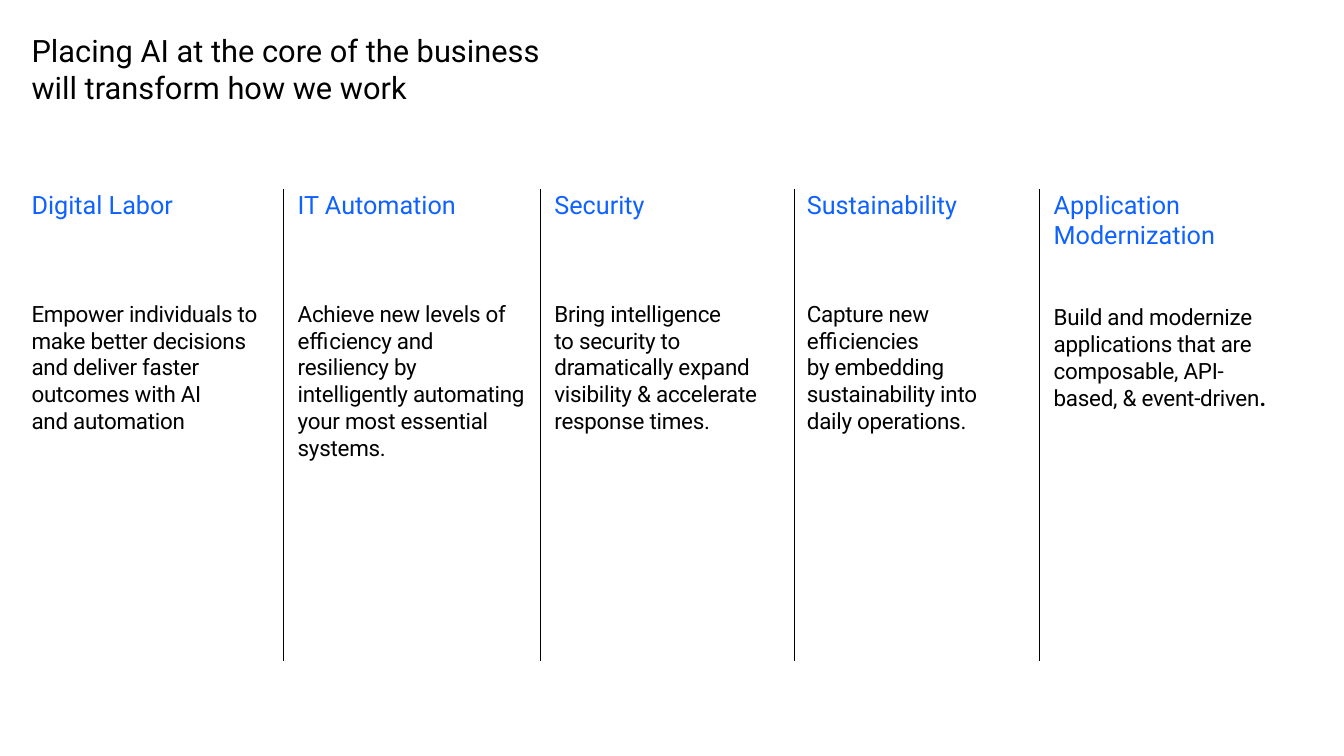
from dataclasses import dataclass

from lxml import etree
from pptx import Presentation
from pptx.dml.color import RGBColor
from pptx.enum.shapes import MSO_CONNECTOR
from pptx.oxml.ns import qn
from pptx.util import Pt

STRAIGHT = MSO_CONNECTOR.STRAIGHT
BLACK = RGBColor(0x00, 0x00, 0x00)
BLUE = RGBColor(0x0F, 0x62, 0xFE)
PX = 9525
FONT = "Roboto"
TITLE_SIZE, HEADING_SIZE, BODY_SIZE = 44, 36, 32
BODY_TRACKING = -40
COLUMN_TOP, COLUMN_HEIGHT, DIVIDER_BOTTOM = 360, 540, 1260
GAP_ONE_LINE, GAP_TWO_LINES = 115, 77


@dataclass
class Column:
    left: int
    width: int
    heading: str
    body: tuple
    gap: int = GAP_ONE_LINE
    bold_end: str = ""


COLUMNS = [
    Column(60, 434, "Digital Labor", (
        "Empower individuals to make better decisions and deliver faster "
        "outcomes with AI \nand automation",)),
    Column(567, 438, "IT Automation", (
        "Achieve new levels of efficiency and resiliency by intelligently "
        "automating your most essential systems.",)),
    Column(1056, 425, "Security", (
        "Bring intelligence \nto security to dramatically expand visibility "
        "& accelerate response times.",)),
    Column(1537, 410, "Sustainability", (
        "Capture new efficiencies",
        "by embedding sustainability into daily operations.")),
    Column(2007, 443, "Application\nModernization", (
        "Build and modernize applications that are composable, API-based, "
        "& event-driven",), GAP_TWO_LINES, "."),
]
DIVIDERS = [540, 1029, 1514, 1980]


class SlideBuilder:
    def __init__(self, slide):
        self.slide = slide

    def frame(self, left, top, width, height, right_inset=0):
        box = self.slide.shapes.add_textbox(
            left * PX, top * PX, width * PX, height * PX)
        frame = box.text_frame
        frame.word_wrap = True
        frame.margin_left = frame.margin_top = frame.margin_bottom = 0
        frame.margin_right = right_inset * PX
        return frame

    def style(self, paragraph, size, color, tracking=0):
        paragraph.font.size = Pt(size)
        for run in paragraph.runs:
            run.font.name = FONT
            run.font.size = Pt(size)
            run.font.color.rgb = color
            if tracking:
                run._r.get_or_add_rPr().set("spc", str(tracking))

    def title(self, text, left, top, width, height):
        frame = self.frame(left, top, width, height, right_inset=48)
        frame.text = text
        self.style(frame.paragraphs[0], TITLE_SIZE, BLACK)

    def divider(self, x):
        line = self.slide.shapes.add_connector(
            STRAIGHT, x * PX, COLUMN_TOP * PX, x * PX, DIVIDER_BOTTOM * PX)
        line.line.color.rgb = BLACK
        line.line.width = Pt(1)
        etree.SubElement(line._element.spPr, qn("a:effectLst"))

    def column(self, column):
        frame = self.frame(column.left, COLUMN_TOP, column.width, COLUMN_HEIGHT)
        heading = frame.paragraphs[0]
        heading.text = column.heading
        self.style(heading, HEADING_SIZE, BLUE)
        for index, text in enumerate(column.body):
            body = frame.add_paragraph()
            body.text = text
            if index == 0:
                body.space_before = Pt(column.gap)
            if column.bold_end:
                ending = body.add_run()
                ending.text = column.bold_end
                ending.font.bold = True
            self.style(body, BODY_SIZE, BLACK, BODY_TRACKING)


def main():
    deck = Presentation()
    deck.slide_width, deck.slide_height = 2560 * PX, 1440 * PX
    builder = SlideBuilder(deck.slides.add_slide(deck.slide_layouts[6]))
    builder.title(
        "Placing AI at the core of the business will transform how we work",
        60, 60, 1111, 222)
    for x in DIVIDERS:
        builder.divider(x)
    for column in COLUMNS:
        builder.column(column)
    deck.save("out.pptx")


if __name__ == "__main__":
    main()
